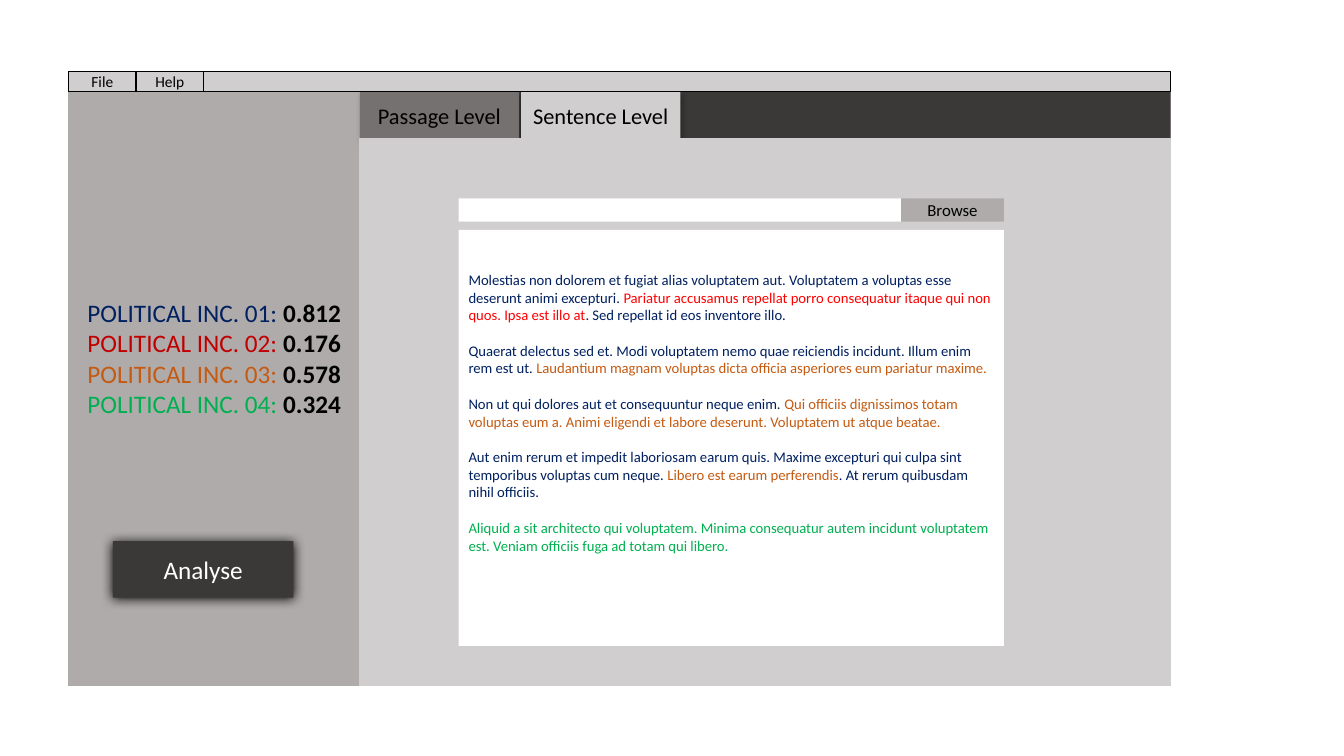
"""Build a slide showing the sentence-level view of a text analysis window."""
from lxml.etree import SubElement
from pptx import Presentation
from pptx.dml.color import RGBColor
from pptx.enum.shapes import MSO_SHAPE
from pptx.enum.text import MSO_ANCHOR, PP_ALIGN
from pptx.oxml.ns import qn
from pptx.util import Pt

FONT = "Calibri"
BLACK = RGBColor(0x00, 0x00, 0x00)
WHITE = RGBColor(0xFF, 0xFF, 0xFF)
CHARCOAL = RGBColor(0x3B, 0x38, 0x38)
DARK_GREY = RGBColor(0x76, 0x71, 0x71)
MID_GREY = RGBColor(0xAF, 0xAB, 0xAB)
LIGHT_GREY = RGBColor(0xD0, 0xCE, 0xCE)
NAVY = RGBColor(0x00, 0x20, 0x60)
DARK_RED = RGBColor(0xC0, 0x00, 0x00)
RED = RGBColor(0xFF, 0x00, 0x00)
ORANGE = RGBColor(0xC5, 0x5A, 0x11)
GREEN = RGBColor(0x00, 0xB0, 0x50)

MENUS = ["File", "Help"]
TABS = [("Passage Level", DARK_GREY), ("Sentence Level", LIGHT_GREY)]
SCORES = [
    ("POLITICAL INC. 01: ", NAVY, "0.812"),
    ("POLITICAL INC. 02: ", DARK_RED, "0.176"),
    ("POLITICAL INC. 03: ", ORANGE, "0.578"),
    ("POLITICAL INC. 04: ", GREEN, "0.324"),
]
PASSAGES = [
    [
        ("Molestias non dolorem et fugiat alias voluptatem aut. Voluptatem a voluptas esse "
         "deserunt animi excepturi. ", NAVY),
        ("Pariatur accusamus repellat porro consequatur itaque qui non quos. "
         "Ipsa est illo at", RED),
        (". Sed repellat id eos inventore illo.", NAVY),
    ],
    [
        ("Quaerat delectus sed et. Modi voluptatem nemo quae reiciendis incidunt. "
         "Illum enim rem est ut. ", NAVY),
        ("Laudantium magnam voluptas dicta officia asperiores eum pariatur maxime.", ORANGE),
    ],
    [
        ("Non ut qui dolores aut et consequuntur neque enim. ", NAVY),
        ("Qui officiis dignissimos totam voluptas eum a. Animi eligendi et labore deserunt. "
         "Voluptatem ut atque beatae.", ORANGE),
    ],
    [
        ("Aut enim rerum et impedit laboriosam earum quis. Maxime excepturi qui culpa sint "
         "temporibus voluptas cum neque. ", NAVY),
        ("Libero est earum perferendis", ORANGE),
        (". At rerum quibusdam nihil officiis.", NAVY),
    ],
    [
        ("Aliquid a sit architecto qui voluptatem. Minima consequatur autem incidunt "
         "voluptatem est. Veniam officiis fuga ad totam qui libero.", GREEN),
    ],
]

LEFT, RIGHT, BOTTOM = 49, 836, 489.6
MENU_TOP, MENU_WIDTH, MENU_HEIGHT = 51.1, 48.2, 14.4
WINDOW_TOP = MENU_TOP + MENU_HEIGHT
SIDEBAR_WIDTH = 208
PANE_LEFT = LEFT + SIDEBAR_WIDTH
TAB_WIDTH, TAB_HEIGHT, TAB_STEP = 113.8, 33.5, 115.2
PANE_TOP = WINDOW_TOP + TAB_HEIGHT
FIELD_LEFT, FIELD_TOP, FIELD_WIDTH, FIELD_HEIGHT = 327.6, 141.8, 316, 16.6
BROWSE_WIDTH = 73.5
DOCUMENT_TOP, DOCUMENT_HEIGHT = 164.2, 297.2
LINE_SPACING = 1.22
SCORE_SIZE, PASSAGE_SIZE = 18, 10.5
TAB_SHADOW = (30, 4.5, 2.6, 53)
BUTTON_SHADOW = (100, 8.5, 1, 90)


def add_shadow(shape, opacity, blur, distance, angle):
    """Give a shape a black outer shadow."""
    effects = shape._element.spPr.find(qn("a:effectLst"))
    shadow = SubElement(effects, qn("a:outerShdw"), blurRad=str(Pt(blur)),
                        dist=str(Pt(distance)), dir=str(angle * 60000), rotWithShape="0")
    color = SubElement(shadow, qn("a:srgbClr"), val=str(BLACK))
    SubElement(color, qn("a:alpha"), val=str(opacity * 1000))


def add_box(shapes, left, top, width, height, fill, line=None, shadow=None):
    """Add a filled rectangle with an optional outline and shadow."""
    box = shapes.add_shape(MSO_SHAPE.RECTANGLE, Pt(left), Pt(top), Pt(width), Pt(height))
    box.fill.solid()
    box.fill.fore_color.rgb = fill
    if line is None:
        box.line.fill.background()
    else:
        box.line.color.rgb = line
        box.line.width = Pt(1)
    box.shadow.inherit = False
    if shadow:
        add_shadow(box, *shadow)
    return box


def write(box, paragraphs, size, alignment=PP_ALIGN.CENTER, anchor=MSO_ANCHOR.MIDDLE, gap=0):
    """Fill a box with paragraphs made of (text, color, bold) runs."""
    frame = box.text_frame
    frame.word_wrap = True
    frame.vertical_anchor = anchor
    for index, runs in enumerate(paragraphs):
        paragraph = frame.add_paragraph() if index else frame.paragraphs[0]
        paragraph.alignment = alignment
        paragraph.space_after = Pt(gap)
        paragraph.font.name = FONT
        paragraph.font.size = Pt(size)
        for text, color, bold in runs:
            run = paragraph.add_run()
            run.text = text
            run.font.color.rgb = color
            run.font.bold = bold


def write_label(box, text, size, color=BLACK):
    """Write one centred label in a box."""
    write(box, [[(text, color, False)]], size)


def add_sidebar(shapes):
    """Add the score panel."""
    sidebar = add_box(shapes, LEFT, WINDOW_TOP, SIDEBAR_WIDTH, BOTTOM - WINDOW_TOP,
                      MID_GREY, MID_GREY)
    sidebar.text_frame.margin_bottom = Pt(3.6 + 2 * LINE_SPACING * SCORE_SIZE)
    write(sidebar, [[(name, color, False), (score, BLACK, True)]
                    for name, color, score in SCORES], SCORE_SIZE)


def add_document(shapes):
    """Add the file field, the browse button and the coloured passages."""
    add_box(shapes, FIELD_LEFT, FIELD_TOP, FIELD_WIDTH, FIELD_HEIGHT, WHITE)
    browse = add_box(shapes, FIELD_LEFT + FIELD_WIDTH, FIELD_TOP, BROWSE_WIDTH,
                     FIELD_HEIGHT, MID_GREY)
    write_label(browse, "Browse", 12)
    document = add_box(shapes, FIELD_LEFT, DOCUMENT_TOP, FIELD_WIDTH + BROWSE_WIDTH,
                       DOCUMENT_HEIGHT, WHITE)
    line_height = LINE_SPACING * PASSAGE_SIZE
    document.text_frame.margin_top = Pt(3.6 + 2 * line_height)
    write(document, [[(text, color, False) for text, color in passage] for passage in PASSAGES],
          PASSAGE_SIZE, PP_ALIGN.LEFT, MSO_ANCHOR.TOP, line_height)


def main():
    """Build and save the presentation."""
    presentation = Presentation()
    presentation.slide_width = Pt(960)
    presentation.slide_height = Pt(540)
    slide = presentation.slides.add_slide(presentation.slide_layouts[6])
    shapes = slide.shapes.add_group_shape().shapes

    add_box(shapes, LEFT, WINDOW_TOP, RIGHT - LEFT, BOTTOM - WINDOW_TOP, CHARCOAL, DARK_GREY)
    add_sidebar(shapes)
    for index, (name, fill) in enumerate(TABS):
        tab = add_box(shapes, PANE_LEFT + index * TAB_STEP, WINDOW_TOP, TAB_WIDTH, TAB_HEIGHT,
                      fill, shadow=TAB_SHADOW)
        write_label(tab, name, 16)
    add_box(shapes, PANE_LEFT, PANE_TOP, RIGHT - PANE_LEFT, BOTTOM - PANE_TOP,
            LIGHT_GREY, LIGHT_GREY)
    add_box(shapes, LEFT, MENU_TOP, RIGHT - LEFT, MENU_HEIGHT, LIGHT_GREY, BLACK)
    for index, name in enumerate(MENUS):
        menu = add_box(shapes, LEFT + index * MENU_WIDTH, MENU_TOP, MENU_WIDTH, MENU_HEIGHT,
                       LIGHT_GREY, BLACK)
        write_label(menu, name, 11)
    analyse = add_box(shapes, 80.6, 386.6, 129, 40.4, CHARCOAL, shadow=BUTTON_SHADOW)
    write_label(analyse, "Analyse", 18, WHITE)
    add_document(shapes)
    presentation.save("out.pptx")


if __name__ == "__main__":
    main()
